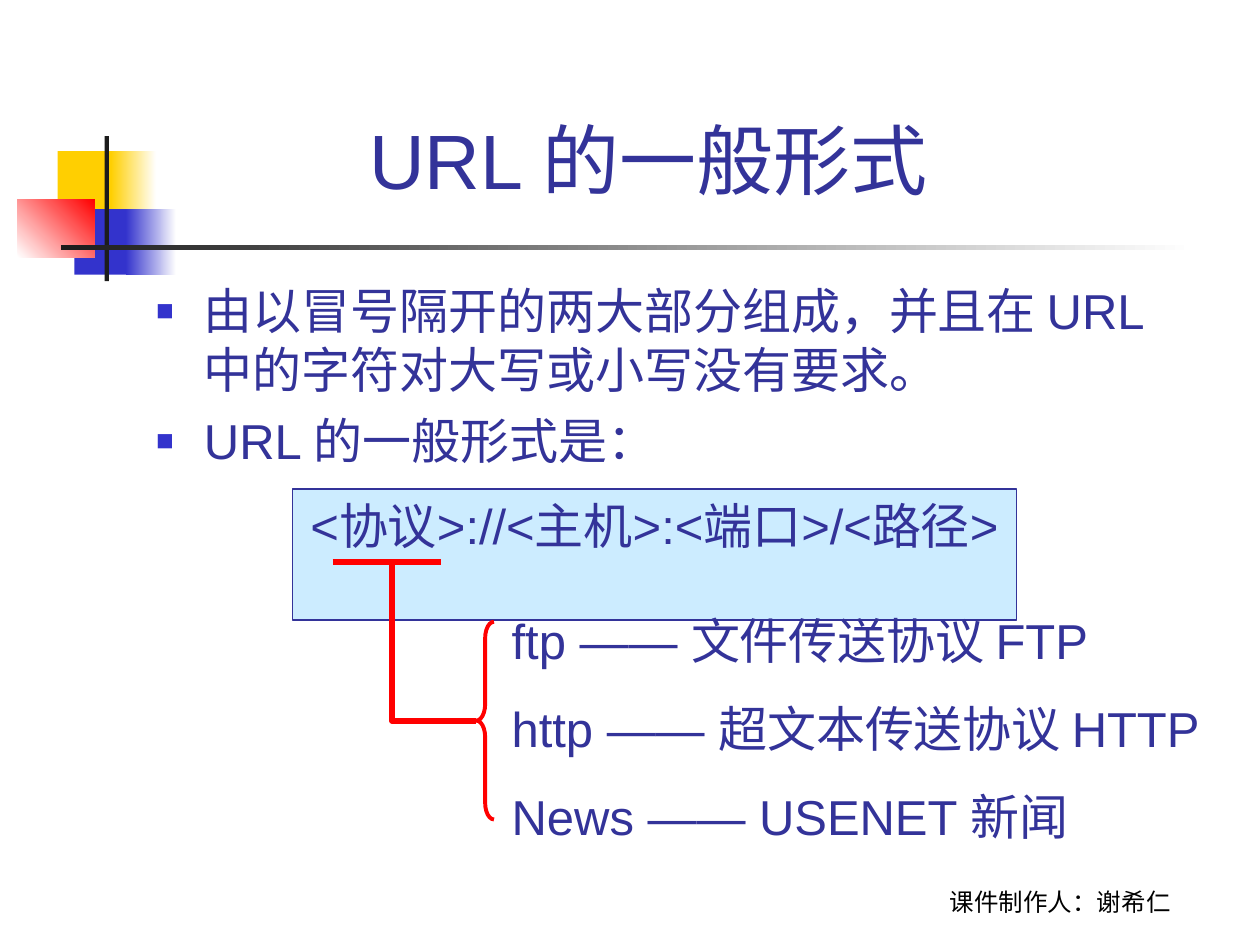
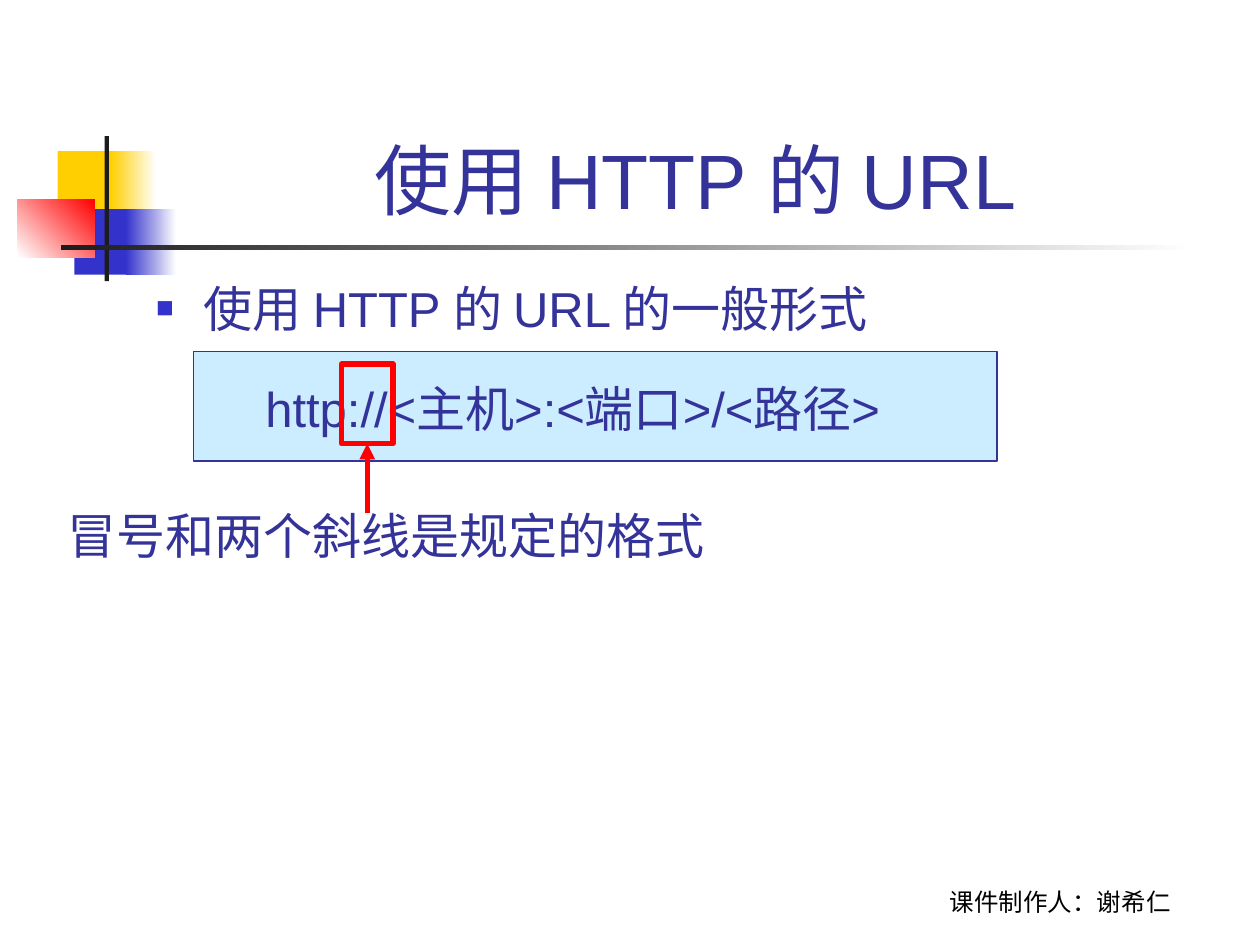
from lxml import etree
from pptx import Presentation
from pptx.dml.color import RGBColor
from pptx.enum import shapes, text
from pptx.oxml import ns
from pptx.util import Pt

INK, SKY, RED, BLUE = "333399", "CCECFF", "FF0000", "3333CC"
YELLOW, BLACK, WHITE = "FFCF01", "1C1C1C", "FFFFFF"
BODY = {"size": 28, "font": "Arial", "color": INK}
TITLE = {**BODY, "size": 44}
FOOTER = {"size": 14, "font": "Lato", "color": "000000"}
CENTER = {"alignment": text.PP_ALIGN.CENTER}
BULLET_INDENT = 27.4
ORNAMENT = [
    ((33, 86.4, 34.6, 37.4), [YELLOW], 0),
    ((63.4, 86.4, 25.9, 37.4), [YELLOW, WHITE], 0),
    ((42.5, 119.5, 33.1, 37.4), [BLUE], 0),
    ((72, 119.5, 28.8, 37.4), [BLUE, WHITE], 0),
    ((10.1, 113.8, 43.9, 33.1), [WHITE, RED], 45),
    ((59.8, 77.8, 2.5, 82.8), [BLACK], 0),
    ((34.6, 140.1, 648, 2.7), [BLACK, WHITE], 0),
]


def rgb(value):
    """Turn a hex string into a colour."""
    return RGBColor.from_string(value)


def assign(target, values):
    """Set attributes from a dict of format values."""
    for name, value in values.items():
        setattr(target, name, value)


def sub(parent, tag, **attributes):
    """Append a DrawingML element."""
    return etree.SubElement(parent, ns.qn(tag), attributes)


def stroke(line, color, width):
    """Colour and size an outline."""
    line.color.rgb = rgb(color)
    line.width = Pt(width)


def paint(fill, colors, angle=0):
    """Fill with nothing, one colour or a two-colour gradient."""
    if not colors:
        fill.background()
    elif len(colors) == 1:
        fill.solid()
        fill.fore_color.rgb = rgb(colors[0])
    else:
        fill.gradient()
        fill.gradient_angle = angle
        for stop, color in zip(fill.gradient_stops, colors):
            stop.color.rgb = rgb(color)


def add_block(slide, box, colors=(), angle=0, line=None,
              kind=shapes.MSO_SHAPE.RECTANGLE):
    """Draw a preset shape without shadow."""
    block = slide.shapes.add_shape(kind, *map(Pt, box))
    block.shadow.inherit = False
    paint(block.fill, colors, angle)
    if line:
        stroke(block.line, *line)
    else:
        block.line.fill.background()
    return block


def add_line(slide, start, end, arrow=False):
    """Draw a straight red line, with an optional arrowhead."""
    line = slide.shapes.add_connector(
        shapes.MSO_CONNECTOR.STRAIGHT, *map(Pt, (*start, *end)))
    stroke(line.line, RED, 3)
    if arrow:
        sub(line.line._get_or_add_ln(), "a:tailEnd", type="triangle")
    sub(line._element.spPr, "a:effectLst")
    return line


def add_elbow(slide, points):
    """Draw an open red polyline."""
    builder = slide.shapes.build_freeform(*points[0], scale=float(Pt(1)))
    builder.add_line_segments(points[1:], close=False)
    elbow = builder.convert_to_shape()
    elbow.shadow.inherit = False
    elbow.fill.background()
    stroke(elbow.line, RED, 3)


def write(shape, lines, style, paragraph=None, **frame):
    """Write paragraphs in one style and return them."""
    assign(shape.text_frame, {"word_wrap": True, **frame})
    shape.text_frame.text = "\n".join(lines)
    for item in shape.text_frame.paragraphs:
        assign(item, paragraph or {})
        for run in item.runs:
            assign(run.font, {"size": Pt(style["size"]), "name": style["font"]})
            run.font.color.rgb = rgb(style["color"])
    return shape.text_frame.paragraphs


def add_text(slide, box, lines, style, paragraph=None, **frame):
    """Place a text box and return its paragraphs."""
    return write(slide.shapes.add_textbox(*map(Pt, box)),
                 lines, style, paragraph, **frame)


def add_bullet(paragraph):
    """Give a paragraph a small blue square bullet."""
    paragraph.space_before = Pt(7)
    props = paragraph._p.get_or_add_pPr()
    props.set("marL", str(Pt(BULLET_INDENT)))
    props.set("indent", str(-Pt(BULLET_INDENT)))
    sub(sub(props, "a:buClr"), "a:srgbClr", val=BLUE)
    sub(props, "a:buSzPct", val="60000")
    sub(props, "a:buFont", typeface="Arial")
    sub(props, "a:buChar", char="■")


def add_slide(deck, title, title_box):
    """Start a slide with the shared ornament, footer and title."""
    slide = deck.slides.add_slide(deck.slide_layouts[5])
    for box, colors, angle in ORNAMENT:
        add_block(slide, box, colors, angle)
    add_text(slide, (491.8, 491, 228.2, 36), ["课件制作人：谢希仁"], FOOTER,
             CENTER, vertical_anchor=text.MSO_ANCHOR.BOTTOM)
    heading = slide.shapes.title
    assign(heading, dict(zip(("left", "top", "width", "height"),
                             map(Pt, title_box))))
    write(heading, [title], TITLE, CENTER, auto_size=text.MSO_AUTO_SIZE.NONE,
          vertical_anchor=text.MSO_ANCHOR.BOTTOM)
    return slide


def build_general_form(deck):
    """Show the general URL form and its protocols."""
    slide = add_slide(deck, "URL 的一般形式 ", (90.7, 54.7, 569.5, 66.2))
    for point in add_text(slide, (82.1, 157, 612, 152.6), [
            "由以冒号隔开的两大部分组成，并且在 URL 中的字符对大写或小写没有要求。",
            "URL 的一般形式是："], BODY):
        add_bullet(point)
    url_form = add_block(slide, (167, 279.4, 414, 74.9), [SKY], line=(INK, 0.75))
    write(url_form, ["<协议>://<主机>:<端口>/<路径> "], BODY, CENTER,
          vertical_anchor=text.MSO_ANCHOR.TOP)
    underline_y, stem_x, brace_x, brace_y = 321.1, 223.9, 272.2, 411.8
    add_line(slide, (190.1, underline_y), (252, underline_y))
    add_elbow(slide, [(stem_x, underline_y), (stem_x, brace_y), (brace_x, brace_y)])
    brace = add_block(slide, (brace_x, brace_y - 56.5, 10.1, 113),
                      line=(RED, 2.25), kind=shapes.MSO_SHAPE.LEFT_BRACE)
    brace.adjustments[0] = 0.93
    add_text(slide, (285.3, 328.3, 432, 158.4),
             ["ftp —— 文件传送协议 FTP", "http —— 超文本传送协议 HTTP",
              "News —— USENET 新闻"], BODY, {"line_spacing": 1.5})


def build_http_form(deck):
    """Show the HTTP form of a URL and its fixed separator."""
    slide = add_slide(deck, "使用 HTTP 的 URL", (90.7, 16.9, 613.4, 115.2))
    add_block(slide, (110.4, 200.9, 459.4, 62.6), [SKY], line=(INK, 0.75))
    intro, url_form = add_text(
        slide, (82.1, 155.5, 612, 108),
        ["使用 HTTP 的 URL 的一般形式", "http://<主机>:<端口>/<路径>"], BODY)
    add_bullet(intro)
    url_form.space_before = Pt(23.5)
    url_form._p.get_or_add_pPr().set("marL", str(Pt(62.5)))
    separator_left, separator_width = 195.1, 29.5
    separator = add_block(slide, (separator_left, 208.1, separator_width, 45.4),
                          line=(RED, 3))
    arrow_x = separator_left + separator_width / 2
    pointer = add_line(slide, (arrow_x, 293), (arrow_x, 253.5), arrow=True)
    pointer.end_connect(separator, 2)
    add_text(slide, (31.7, 285.1, 400, 41), ["冒号和两个斜线是规定的格式"],
             {**BODY, "font": "Lato"})


def main():
    """Build and save the presentation."""
    deck = Presentation()
    assign(deck, {"slide_width": Pt(720), "slide_height": Pt(540)})
    build_general_form(deck)
    build_http_form(deck)
    deck.save("out.pptx")


if __name__ == "__main__":
    main()
